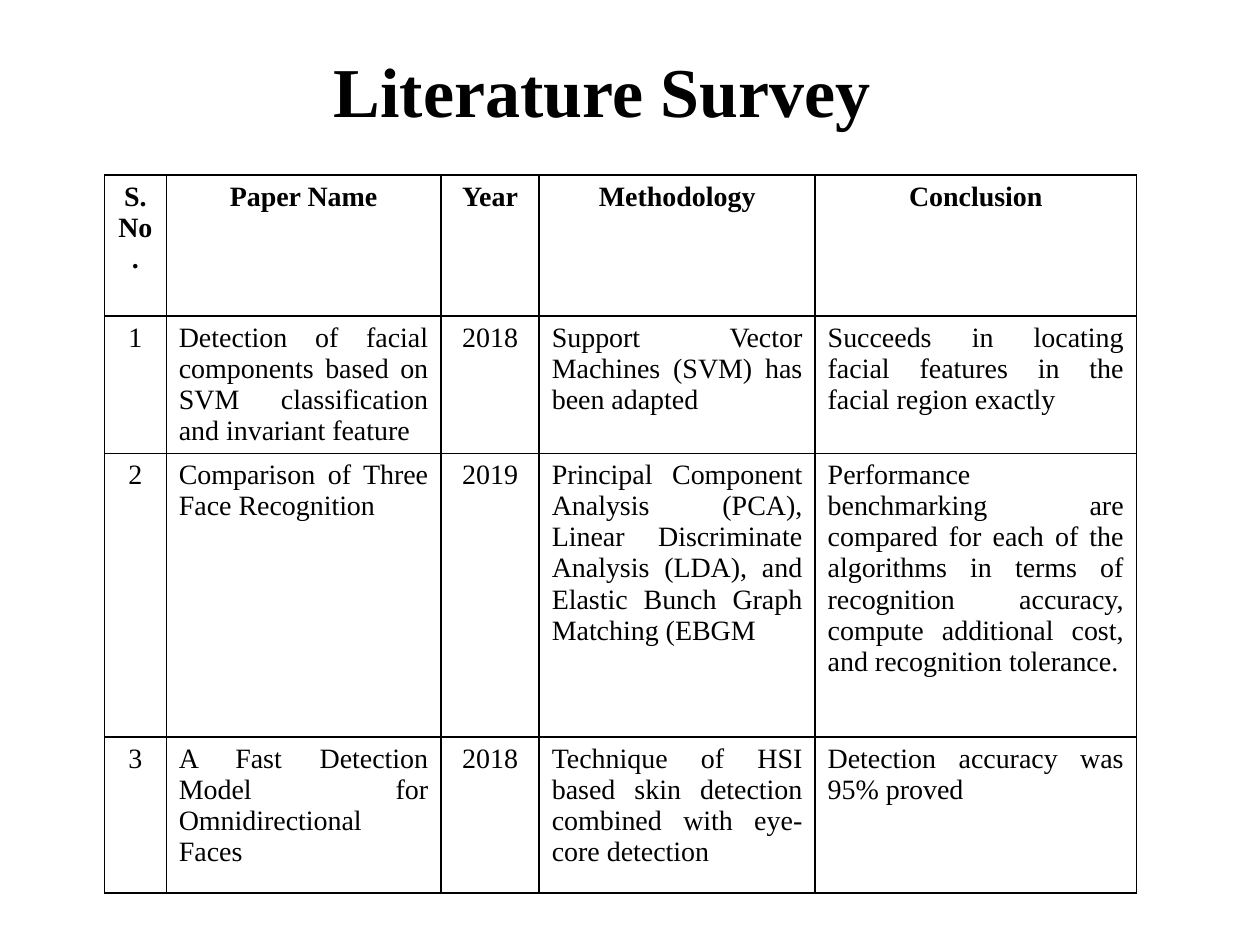
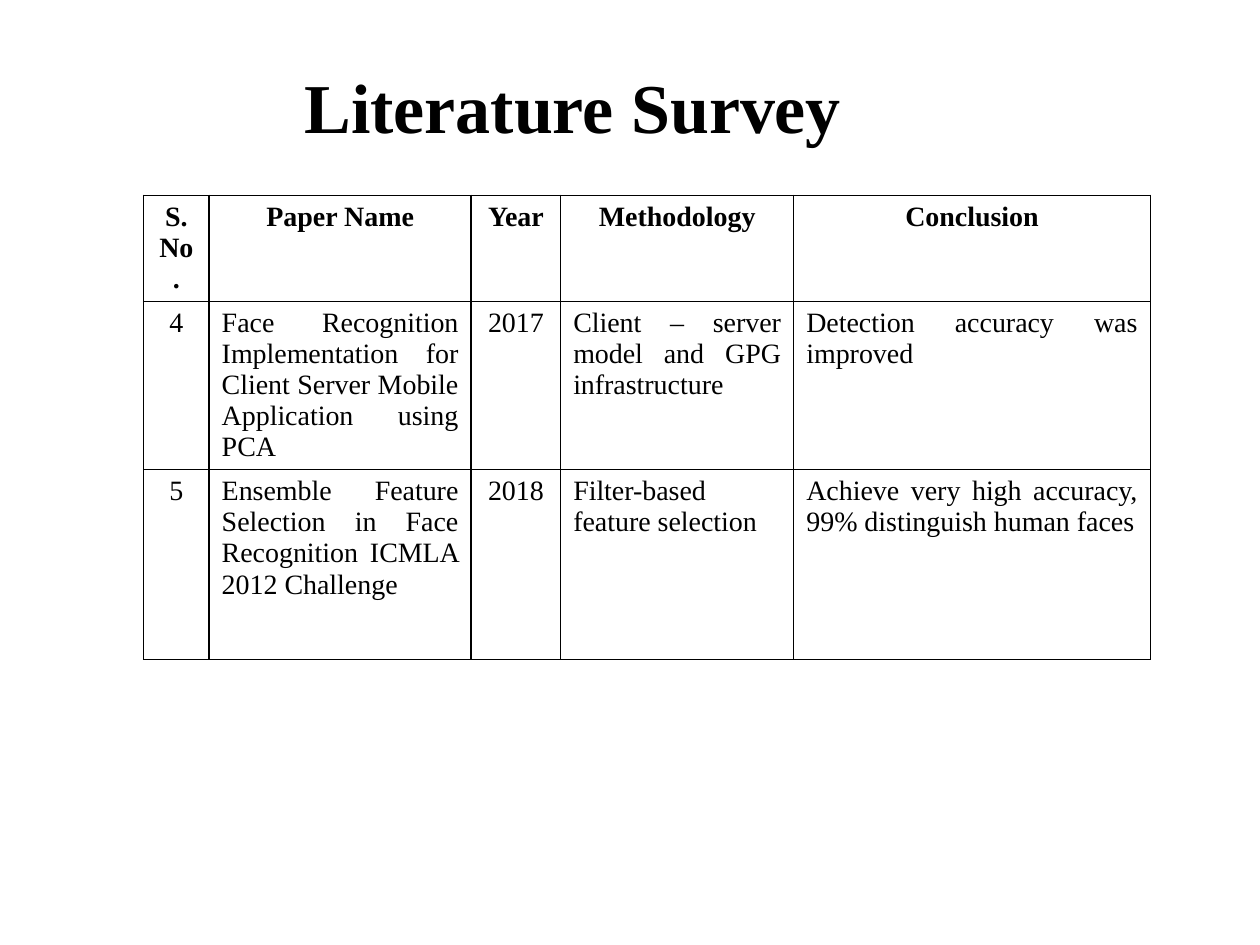
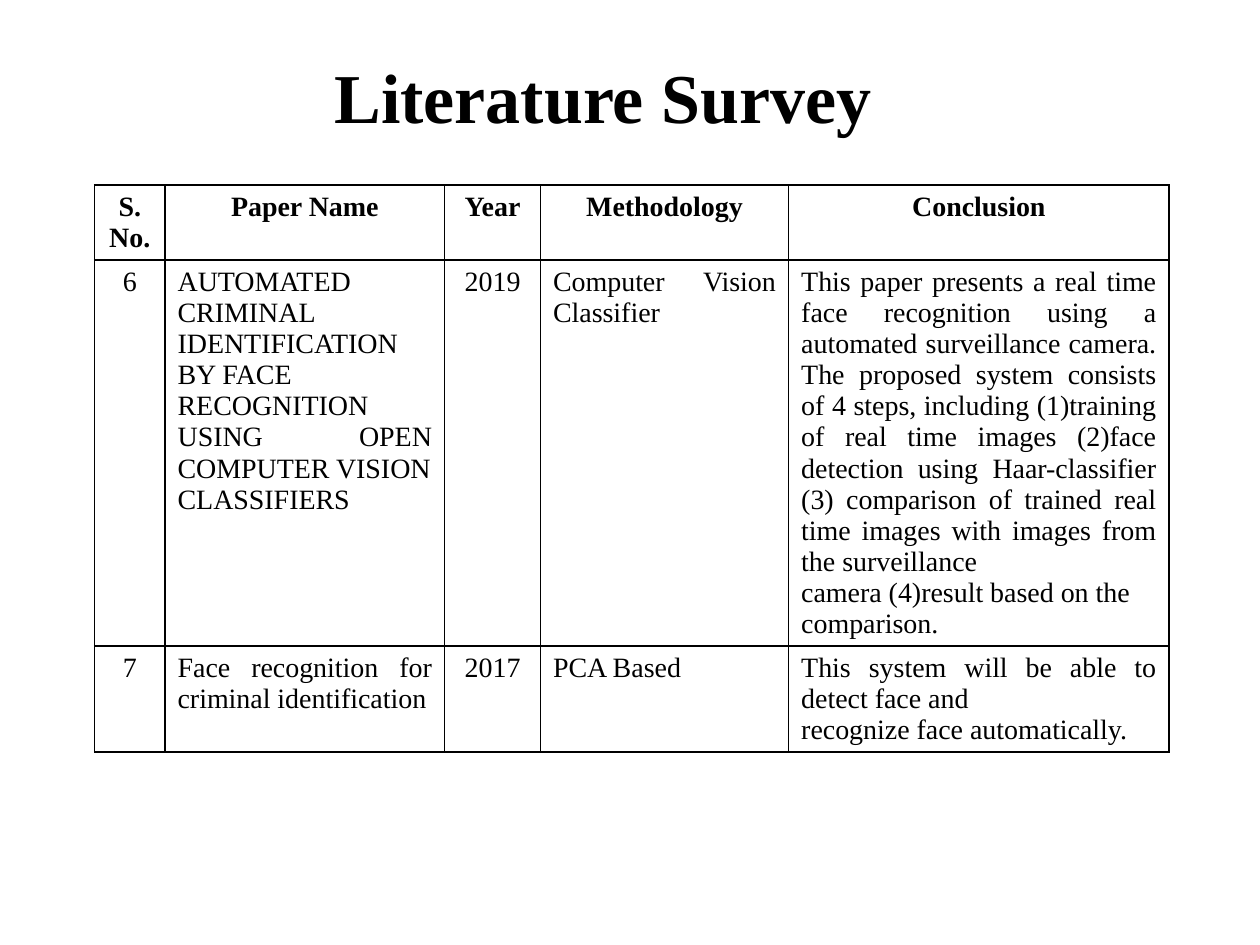
from dataclasses import dataclass

import pptx
import pptx.dml.color
import pptx.enum.text
import pptx.oxml
import pptx.oxml.ns
import pptx.util

Inches = pptx.util.Inches
Align = pptx.enum.text.PP_ALIGN
Anchor = pptx.enum.text.MSO_ANCHOR


@dataclass(frozen=True)
class Theme:
    font: str = "Times New Roman"
    ink: str = "000000"
    title: int = 40
    body: int = 16
    rule: int = 1


THEME = Theme()
HEADS = ["Paper Name", "Year", "Methodology", "Conclusion"]
CENTRED = (0, 2)  # number and year columns

SLIDES = [
    dict(
        title="Literature Survey", title_box=(0.28, 0.21, 9, 1),
        spot=(0.83, 1.39), number="S.No.",
        cols=[0.49, 2.18, 0.78, 2.19, 2.55], rows=[1.12, 1.04, 2.25, 1.24],
        papers=[
            ["1", "Detection of facial components based on SVM classification "
             "and invariant feature", "2018",
             "Support Vector Machines (SVM) has been adapted",
             "Succeeds in locating facial features in the facial region exactly"],
            ["2", "Comparison of Three Face Recognition", "2019",
             "Principal Component Analysis (PCA), Linear Discriminate Analysis "
             "(LDA), and Elastic Bunch Graph Matching (EBGM",
             "Performance benchmarking are compared for each of the algorithms "
             "in terms of recognition accuracy, compute additional cost, and "
             "recognition tolerance."],
            ["3", "A Fast Detection Model for Omnidirectional Faces", "2018",
             "Technique of HSI based skin detection combined with eye-core "
             "detection", "Detection accuracy was 95% proved"],
        ],
    ),
    dict(
        title="Literature Survey ", title_box=(1.3, 0.29, 6.63, 1.09),
        spot=(1.14, 1.55), number="S.No.",
        cols=[0.52, 2.08, 0.71, 1.85, 2.83], rows=[0.49, 1.26, 1.51],
        papers=[
            ["4", "Face Recognition Implementation for Client Server Mobile "
             "Application using PCA", "2017",
             "Client – server model and GPG infrastructure",
             "Detection accuracy was improved"],
            ["5", "Ensemble Feature Selection in Face Recognition ICMLA 2012 "
             "Challenge", "2018", "Filter-based feature selection",
             "Achieve very high accuracy, 99% distinguish human faces"],
        ],
    ),
    dict(
        title="Literature Survey ", title_box=(1.54, 0.21, 6.63, 1.09),
        spot=(0.75, 1.47), number="S. No.",
        cols=[0.56, 2.22, 0.76, 1.97, 3.02], rows=[0.27, 2.86, 0.84],
        papers=[
            ["6", "AUTOMATED CRIMINAL IDENTIFICATION BY FACE\n"
             "RECOGNITION USING OPEN COMPUTER VISION\nCLASSIFIERS", "2019",
             "Computer Vision Classifier",
             "This paper presents a real time face recognition using a "
             "automated surveillance camera. The proposed system consists of "
             "4 steps, including (1)training of real time images (2)face "
             "detection using Haar-classifier (3) comparison of trained real "
             "time images with images from the surveillance\n"
             "camera (4)result based on the\ncomparison."],
            ["7", "Face recognition for criminal identification", "2017",
             "PCA Based",
             "This system will be able to detect face and\n"
             "recognize face automatically. "],
        ],
    ),
]


def set_text(frame, text, size, bold, align):
    frame.text = text
    for para in frame.paragraphs:
        para.alignment = align
        for run in para.runs:
            run.font.name = THEME.font
            run.font.size = pptx.util.Pt(size)
            run.font.bold = bold
            run.font.color.rgb = pptx.dml.color.RGBColor.from_string(THEME.ink)


def add_title(slide, text, box):
    title = slide.shapes.title
    title.left, title.top, title.width, title.height = map(Inches, box)
    title.text_frame.vertical_anchor = Anchor.MIDDLE
    set_text(title.text_frame, text, THEME.title, True, Align.CENTER)


def add_rules(cell):
    """Draw a thin line on all four sides of a cell."""
    props = cell._tc.get_or_add_tcPr()
    for place, side in enumerate("LRTB"):
        line = pptx.oxml.parse_xml(
            f'<a:ln{side} {pptx.oxml.ns.nsdecls("a")} '
            f'w="{pptx.util.Pt(THEME.rule)}"><a:solidFill>'
            f'<a:srgbClr val="{THEME.ink}"/></a:solidFill></a:ln{side}>')
        props.insert(place, line)


def add_table(slide, spot, cols, rows, cells):
    left, top = spot
    size = sum(cols), sum(rows)
    table = slide.shapes.add_table(
        len(rows), len(cols), *map(Inches, (left, top, *size))).table
    table.first_row = table.horz_banding = False
    for col, width in zip(table.columns, cols):
        col.width = Inches(width)
    for row, height in zip(table.rows, rows):
        row.height = Inches(height)
    for r, texts in enumerate(cells):
        for c, text in enumerate(texts):
            cell = table.cell(r, c)
            cell.fill.background()
            add_rules(cell)
            head = r == 0
            align = Align.CENTER if head or c in CENTRED else Align.JUSTIFY
            set_text(cell.text_frame, text, THEME.body, head, align)


def main():
    deck = pptx.Presentation()
    deck.slide_width, deck.slide_height = Inches(10), Inches(7.5)
    layout = deck.slide_layouts.get_by_name("Title Only")
    for page in SLIDES:
        slide = deck.slides.add_slide(layout)
        add_title(slide, page["title"], page["title_box"])
        cells = [[page["number"], *HEADS], *page["papers"]]
        add_table(slide, page["spot"], page["cols"], page["rows"], cells)
    deck.save("out.pptx")


if __name__ == "__main__":
    main()
